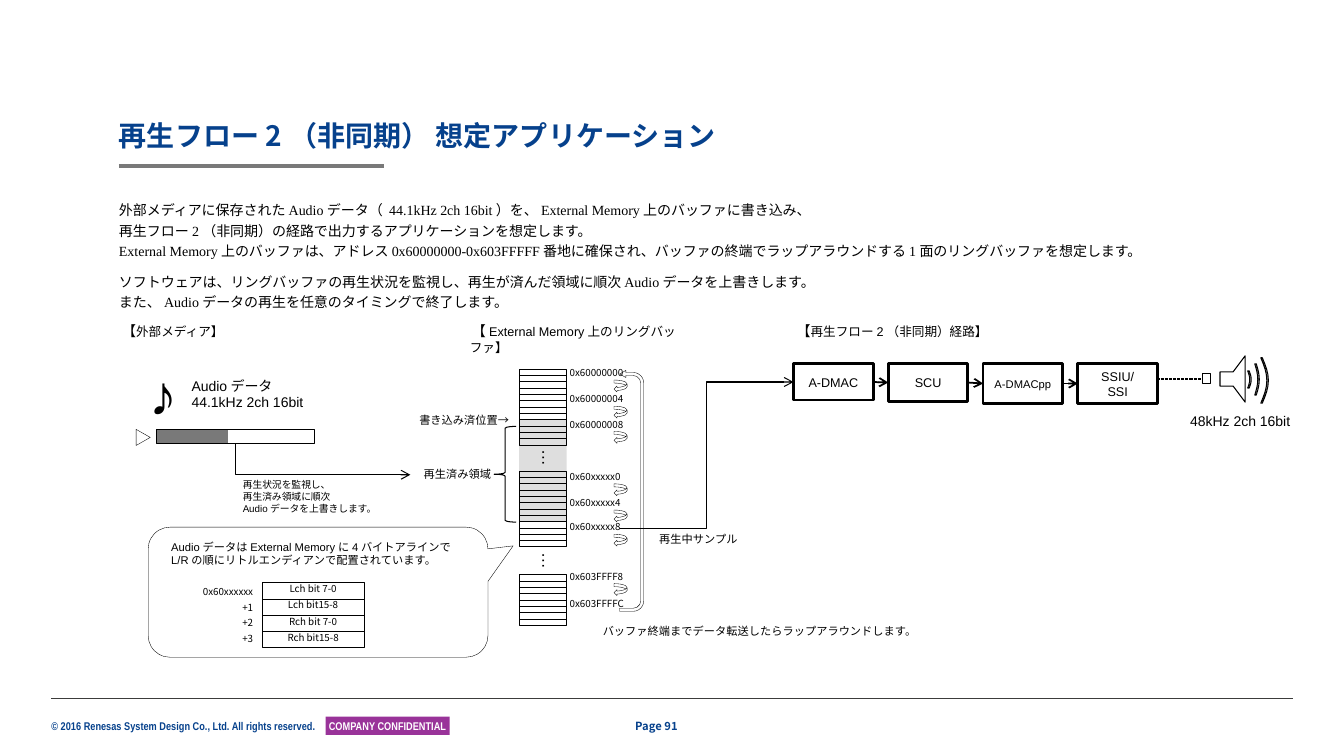
"""Build the slide on the asynchronous playback flow and its ring buffer."""
from copy import deepcopy
from itertools import pairwise
from math import pi, sin

from lxml import etree
from pptx import Presentation
from pptx.dml.color import RGBColor
from pptx.enum.dml import MSO_LINE
from pptx.enum.shapes import MSO_CONNECTOR, MSO_SHAPE
from pptx.enum.text import MSO_ANCHOR, PP_ALIGN
from pptx.oxml.ns import qn
from pptx.util import Inches, Pt

RECT, TRIANGLE = MSO_SHAPE.RECTANGLE, MSO_SHAPE.ISOSCELES_TRIANGLE
BRACE, UTURN = MSO_SHAPE.RIGHT_BRACE, MSO_SHAPE.U_TURN_ARROW
CURVED, CALLOUT = MSO_SHAPE.CURVED_RIGHT_ARROW, MSO_SHAPE.ROUNDED_RECTANGULAR_CALLOUT
STRAIGHT, ELBOW = MSO_CONNECTOR.STRAIGHT, MSO_CONNECTOR.ELBOW
DOT, DASH = MSO_LINE.ROUND_DOT, MSO_LINE.SQUARE_DOT
LEFT, CENTER, RIGHT = PP_ALIGN.LEFT, PP_ALIGN.CENTER, PP_ALIGN.RIGHT
TOP, MIDDLE, BOTTOM = MSO_ANCHOR.TOP, MSO_ANCHOR.MIDDLE, MSO_ANCHOR.BOTTOM


class Theme:
    blue, black, white = "06418C", "000000", "FFFFFF"
    gray, shade, purple, rule = "797979", "B5B5B5", "993399", "3C3C3B"
    sans, narrow, cjk, serif = "Arial", "Arial Narrow", "Noto Sans CJK JP", "Times New Roman"
    title, body, label, small, tiny, dots, note = 20, 10, 9, 8, 7, 12, 40
    hair, thin, flow, box, bar = 0.25, 0.75, 1.25, 2, 3


TITLE = "再生フロー2（非同期） 想定アプリケーション"
BODY = [
    "外部メディアに保存されたAudioデータ（ 44.1kHz 2ch 16bit）を、External Memory上のバッファに書き込み、\v"
    "再生フロー2（非同期）の経路で出力するアプリケーションを想定します。\v"
    "External Memory上のバッファは、アドレス0x60000000-0x603FFFFF番地に確保され、"
    "バッファの終端でラップアラウンドする1面のリングバッファを想定します。",
    "ソフトウェアは、リングバッファの再生状況を監視し、再生が済んだ領域に順次Audioデータを上書きします。\v"
    "また、Audioデータの再生を任意のタイミングで終了します。",
]
HEADINGS = [
    ("外部メディア】", 1.19, 2.36),
    ("External Memory上のリングバッファ】", 4.66, 2.36),
    ("再生フロー2（非同期）経路】", 7.88, 2.8),
]
MEMORY_BLOCKS = [(3.66, 12), (4.67, 12), (5.7, 8)]
ADDRESSES = [
    ("0x60000000", 3.64), ("0x60000004", 3.9), ("0x60000008", 4.15),
    ("0x60xxxxx0", 4.67), ("0x60xxxxx4", 4.93), ("0x60xxxxx8", 5.17),
    ("0x603FFFF8", 5.66), ("0x603FFFFC", 5.93),
]
STAGES = [
    (["A-DMAC"], 0.36, Theme.label), (["SCU"], 0.37, Theme.label),
    (["A-DMACpp"], 0.39, Theme.small), (["SSIU/", "SSI"], 0.39, Theme.label),
]
BYTES = [("0x60xxxxxx", "Lch bit 7-0"), ("+1", "Lch bit15-8"),
         ("+2", "Rch bit 7-0"), ("+3", "Rch bit15-8")]
CAPTIONS = [
    (["バッファ終端までデータ転送したらラップアラウンドします。"], (5.88, 6.14, 3.62, 0.24), Theme.small, LEFT),
    (["再生中サンプル"], (6.44, 5.23, 1.13, 0.24), Theme.small, LEFT),
    (["♪"], (1.15, 3.52, 0.94, 0.77), Theme.note, CENTER),
    (["書き込み済位置→"], (3.82, 4.05, 1.33, 0.24), Theme.small, RIGHT),
    (["再生済み領域"], (3.91, 4.59, 1.06, 0.24), Theme.small, RIGHT),
    (["再生状況を監視し、", "再生済み領域に順次", "Audioデータを上書きします。"],
     (2.31, 4.7, 1.5, 0.45), Theme.tiny, LEFT),
    (["AudioデータはExternal Memoryに4バイトアラインで", "L/Rの順にリトルエンディアンで配置されています。"],
     (1.6, 5.31, 3.25, 0.37), Theme.small, LEFT),
]
CONE = [(12.1, 3.69), (12.23, 3.69), (12.35, 3.53), (12.35, 3.99), (12.23, 3.83), (12.1, 3.83)]
WAVES = [(12.39, 3.68, 3.85, 0.02), (12.46, 3.61, 3.92, 0.03), (12.52, 3.55, 4.0, 0.06)]

prs = Presentation()
prs.slide_width, prs.slide_height = Inches(13.33), Inches(7.5)
slide = prs.slides.add_slide(prs.slide_layouts[6])
shapes = slide.shapes


def inches(values):
    return [Inches(value) for value in values]


def write(paragraphs, at=None, host=None, size=Theme.small, font=Theme.sans, color=Theme.black,
          bold=False, align=LEFT, anchor=TOP, inset=(0, 0), wrap=True, spacing=None, after=0, turn=0):
    """Write strings, or lists of (text, size) runs, into a new box or a host shape."""
    host = host or shapes.add_textbox(*inches(at))
    host.rotation = turn
    frame = host.text_frame
    frame.word_wrap, frame.vertical_anchor = wrap, anchor
    frame.margin_left = frame.margin_right = Inches(inset[0])
    frame.margin_top = frame.margin_bottom = Inches(inset[1])
    for number, content in enumerate(paragraphs):
        paragraph = frame.add_paragraph() if number else frame.paragraphs[0]
        paragraph.alignment = align
        paragraph.space_after = Pt(after)
        if spacing:
            paragraph.line_spacing = spacing
        if isinstance(content, str):
            paragraph.text = content
            sizes = [size] * len(paragraph.runs)
        else:
            for words, _ in content:
                paragraph.add_run().text = words
            sizes = [points for _, points in content]
        for run, points in zip(paragraph.runs, sizes):
            run.font.size, run.font.bold, run.font.name = Pt(points), bold, font
            run.font.color.rgb = RGBColor.from_string(color)
            etree.SubElement(run.font._element, qn("a:ea")).set("typeface", Theme.cjk)
        for line_break in paragraph._p.findall(qn("a:br")):
            line_break.append(deepcopy(paragraph.runs[0].font._element))


def style(shape, fill=None, line=None, alpha=None):
    shape.shadow.inherit = False
    if fill:
        shape.fill.solid()
        shape.fill.fore_color.rgb = RGBColor.from_string(fill)
    else:
        shape.fill.background()
    if alpha:
        tint = shape._element.spPr.find(f".//{qn('a:srgbClr')}")
        etree.SubElement(tint, qn("a:alpha")).set("val", str(alpha * 1000))
    if line:
        shape.line.width = Pt(line)
        shape.line.color.rgb = RGBColor.from_string(Theme.black)
    else:
        shape.line.fill.background()
    return shape


def draw(kind, at, fill=None, line=None, alpha=None, turn=0, flip=None, adjust=()):
    shape = shapes.add_shape(kind, *inches(at))
    shape.rotation = turn
    if flip:
        shape._element.spPr.xfrm.set(flip, "1")
    for number, value in enumerate(adjust):
        shape.adjustments[number] = value
    return style(shape, fill, line, alpha)


def add_head(shape):
    etree.SubElement(shape._element.spPr.find(qn("a:ln")), qn("a:tailEnd")).set("type", "arrow")


def link(start, end, width, color=Theme.black, kind=STRAIGHT, dash=None, head=False):
    connector = shapes.add_connector(kind, *inches(start + end))
    connector.line.width = Pt(width)
    connector.line.color.rgb = RGBColor.from_string(color)
    if dash:
        connector.line.dash_style = dash
    if head:
        add_head(connector)
    etree.SubElement(connector._element.spPr, qn("a:effectLst"))
    return connector


def striped(left, top, width, rows, pitch, word):
    draw(RECT, (left, top, width, rows * pitch), line=Theme.hair)
    for row in range(1, rows):
        y = top + row * pitch
        link((left, y), (left + width, y), Theme.hair, dash=DOT if row % word else None)


def outline(contours, closed=True):
    builder = shapes.build_freeform(*inches(contours[0][0]))
    for number, points in enumerate(contours):
        if number:
            builder.move_to(*inches(points[0]))
        builder.add_line_segments([inches(point) for point in points[1:]], close=closed)
    return style(builder.convert_to_shape(), line=Theme.thin)


def wave(left, top, bottom, bulge, steps=8, thickness=0.015):
    outer = [(left + bulge * sin(pi * step / steps), top + (bottom - top) * step / steps)
             for step in range(steps + 1)]
    return outer + [(x - thickness, y) for x, y in reversed(outer)]


link((0.51, 6.93), (12.82, 6.93), 0.5, Theme.rule)
badge = draw(RECT, (3.23, 7.11, 1.23, 0.18), Theme.purple)
write(["COMPANY CONFIDENTIAL"], host=badge, font=Theme.narrow, color=Theme.white, bold=True,
      align=CENTER, anchor=MIDDLE, inset=(0.04, 0), wrap=False)
write(["© 2016 Renesas System Design Co., Ltd. All rights reserved."], (0.51, 7.14, 2.67, 0.13),
      font=Theme.narrow, color=Theme.blue, bold=True, wrap=False)
write(["Page 91"], (6.3, 7.14, 0.73, 0.13), font=Theme.cjk, color=Theme.blue, bold=True, anchor=MIDDLE)
link((1.18, 1.65), (3.81, 1.65), Theme.bar, Theme.gray)
write([TITLE], (1.18, 1.2, 9.84, 0.31), size=Theme.title, font=Theme.cjk, color=Theme.blue,
      bold=True, anchor=BOTTOM, spacing=0.9)
write(BODY, (1.18, 1.97, 11.08, 1.12), size=Theme.body, font=Theme.serif, spacing=1.2, after=8)
for heading, left, width in HEADINGS:
    write([[(" ", Theme.tiny), ("【", Theme.body), (heading, Theme.label)]], (left, 3.2, width, 0.19))

draw(RECT, (1.55, 4.26, 0.71, 0.14), Theme.gray)
draw(RECT, (1.55, 4.26, 1.57, 0.14), line=Theme.hair)
draw(TRIANGLE, (1.34, 4.27, 0.16, 0.14), line=Theme.hair, turn=90)
write(["Audioデータ", "44.1kHz 2ch 16bit"], (1.9, 3.74, 1.65, 0.35), size=Theme.body)
add_head(outline([[(2.34, 4.4), (2.34, 4.71), (4.07, 4.71)]], closed=False))

draw(RECT, (5.15, 4.16, 0.47, 1.01), Theme.shade, alpha=44)
for top, rows in MEMORY_BLOCKS:
    striped(5.15, top, 0.47, rows, 0.0628, 4)
for top in (4.38, 5.4):
    write(["…"], (5.29, top, 0.19, 0.32), size=Theme.dots, align=CENTER, turn=90)
for address, top in ADDRESSES:
    write([address], (5.65, top, 0.75, 0.13), size=Theme.tiny, font=Theme.cjk)
for _, top in ADDRESSES[:-1]:
    draw(CURVED, (6.09, top + 0.13, 0.13, 0.12), line=Theme.hair, flip="flipH")
draw(UTURN, (5.07, 4.75, 2.39, 0.24), line=Theme.hair, turn=270, flip="flipV",
     adjust=(0.126, 0.148, 0.247, 0.438, 0.989))
draw(BRACE, (4.9, 4.23, 0.22, 0.95), line=Theme.thin, flip="flipH")

draw(CALLOUT, (1.47, 5.23, 3.37, 1.29), line=Theme.hair, adjust=(0.574, -0.356, 0.167))
striped(2.6, 5.78, 1.01, len(BYTES), 0.16, len(BYTES))
for row, (offset, bits) in enumerate(BYTES):
    write([offset], (1.73, 5.81 + row * 0.155, 0.78, 0.13), size=Theme.tiny, font=Theme.cjk, align=RIGHT)
    write([bits], (2.6, 5.78 + row * 0.163, 1.01, 0.16), size=Theme.tiny, font=Theme.cjk, align=CENTER)
for caption, at, size, align in CAPTIONS:
    write(caption, at, size=size, align=align, inset=(0.1, 0.05))

stages = []
for column, (names, height, size) in enumerate(STAGES):
    stage = draw(RECT, (7.87 + column * 0.94, 3.61, 0.79, height), line=Theme.box)
    write(names, host=stage, size=size, align=CENTER, anchor=MIDDLE, inset=(0.1, 0.05))
    stages.append(stage)
for source, target in pairwise(stages):
    hop = link((8.65, 3.8), (8.81, 3.8), Theme.flow, head=True)
    hop.begin_connect(source, 3)
    hop.end_connect(target, 1)
playing = link((6.15, 5.24), (7.87, 3.79), Theme.thin, kind=ELBOW, head=True)
playing.end_connect(stages[0], 1)
jack = draw(RECT, (11.93, 3.71, 0.08, 0.1), Theme.white, Theme.thin)
link((11.47, 3.76), (11.93, 3.76), Theme.thin, dash=DASH).end_connect(jack, 1)
outline([CONE] + [wave(*arc) for arc in WAVES])
write(["48kHz 2ch 16bit"], (11.55, 4.09, 1.5, 0.35), size=Theme.body, align=CENTER)

prs.save("out.pptx")
